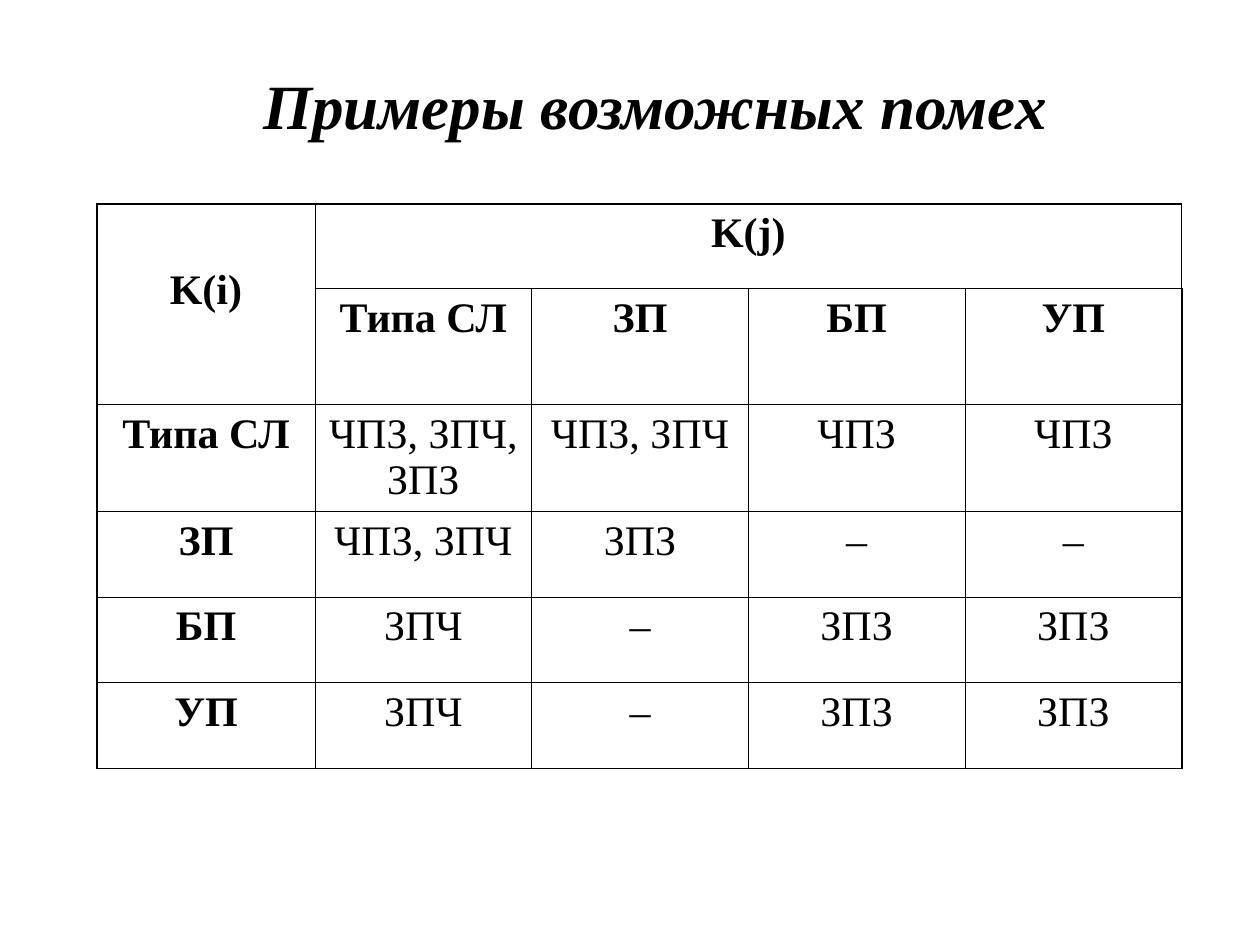
"""Build a slide with a table of possible kinds of interference."""
from dataclasses import dataclass

from lxml.etree import SubElement
from pptx import Presentation
from pptx.dml.color import RGBColor
from pptx.enum.text import MSO_ANCHOR, PP_ALIGN
from pptx.oxml.ns import qn
from pptx.util import Inches, Pt


@dataclass(frozen=True)
class Theme:
    font: str = "Times New Roman"
    ink: str = "000000"
    title_size: float = 36
    cell_size: float = 24
    outer_line: float = 1.08
    inner_line: float = 0.45


class SlideBuilder:
    def __init__(self, presentation, theme):
        self.theme = theme
        self.width = presentation.slide_width
        self.height = presentation.slide_height
        self.slide = presentation.slides.add_slide(presentation.slide_layouts[6])

    def place(self, left, top, width, height):
        return (round(left * self.width), round(top * self.height),
                round(width * self.width), round(height * self.height))

    def set_text(self, text_frame, text, size, bold=False, italic=False):
        text_frame.text = text
        text_frame.word_wrap = True
        paragraph = text_frame.paragraphs[0]
        paragraph.alignment = PP_ALIGN.CENTER
        for run in paragraph.runs:
            run.font.name = self.theme.font
            run.font.size = Pt(size)
            run.font.bold = bold
            run.font.italic = italic
            run.font.color.rgb = RGBColor.from_string(self.theme.ink)

    def title(self, text, *area):
        shape = self.slide.shapes.add_textbox(*self.place(*area))
        shape.text_frame.vertical_anchor = MSO_ANCHOR.MIDDLE
        self.set_text(shape.text_frame, text, self.theme.title_size, True, True)

    def border(self, cell, outer_sides):
        properties = cell._tc.get_or_add_tcPr()
        for side in "LRTB":
            width = self.theme.outer_line if side in outer_sides else self.theme.inner_line
            line = SubElement(properties, qn(f"a:ln{side}"), w=str(int(Pt(width))))
            fill = SubElement(line, qn("a:solidFill"))
            SubElement(fill, qn("a:srgbClr"), val=self.theme.ink)

    def table(self, rows, column_widths, row_heights, header_rows, *area):
        last_row, last_column = len(rows) - 1, len(column_widths) - 1
        frame = self.slide.shapes.add_table(len(rows), len(column_widths), *self.place(*area))
        table = frame.table
        for column, width in zip(table.columns, column_widths):
            column.width = Inches(width)
        for row, height in zip(table.rows, row_heights):
            row.height = Inches(height)
        for row_index, row in enumerate(rows):
            for column_index, text in enumerate(row):
                cell = table.cell(row_index, column_index)
                edges = {"L": column_index == 0, "R": column_index == last_column,
                         "T": row_index == 0, "B": row_index == last_row}
                self.border(cell, [side for side, is_outer in edges.items() if is_outer])
                cell.fill.background()
                bold = row_index < header_rows or column_index == 0
                self.set_text(cell.text_frame, text, self.theme.cell_size, bold)
        return table


def main():
    presentation = Presentation()
    presentation.slide_width, presentation.slide_height = Inches(10), Inches(7.5)
    builder = SlideBuilder(presentation, Theme())

    interference = [
        ["K(i)", "K(j)", "", "", ""],
        ["", "Типа СЛ", "ЗП", "БП", "УП"],
        ["Типа СЛ", "ЧПЗ, ЗПЧ, ЗПЗ", "ЧПЗ, ЗПЧ", "ЧПЗ", "ЧПЗ"],
        ["ЗП", "ЧПЗ, ЗПЧ", "ЗПЗ", "–", "–"],
        ["БП", "ЗПЧ", "–", "ЗПЗ", "ЗПЗ"],
        ["УП", "ЗПЧ", "–", "ЗПЗ", "ЗПЗ"],
    ]
    column_widths = [1.73] + [1.72] * 4
    row_heights = [0.67, 0.92, 0.85] + [0.68] * 3
    left, top = 0.77 / 10, 1.62 / 7.5
    table = builder.table(interference, column_widths, row_heights, 2,
                          left, top, 0.86, 0.6)
    table.cell(0, 0).merge(table.cell(1, 0))
    table.cell(0, 1).merge(table.cell(0, 4))
    table.cell(0, 0).margin_top = Inches(0.5)

    builder.title("Примеры возможных помех", 0.02, 0.04, 1, 0.14)
    presentation.save("out.pptx")


if __name__ == "__main__":
    main()
